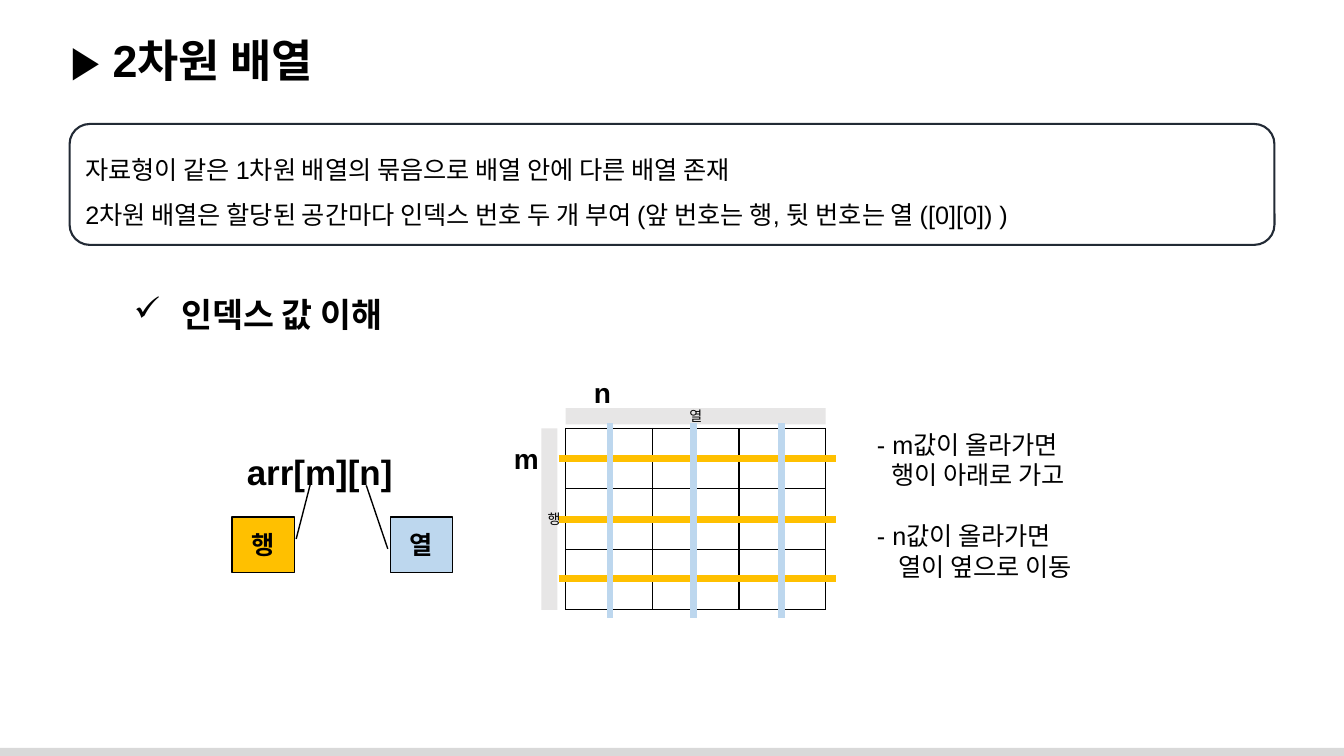
import pptx
import pptx.util
import pptx.dml.color
import pptx.enum.shapes
import pptx.enum.text
import pptx.oxml
import pptx.oxml.ns

Inches, Pt = pptx.util.Inches, pptx.util.Pt
SHAPE = pptx.enum.shapes.MSO_SHAPE
ALIGN = pptx.enum.text.PP_ALIGN
ANCHOR = pptx.enum.text.MSO_ANCHOR
COLORS = {"text": "000000", "frame": "222A35", "header": "E7E6E6",
          "row": "FFC000", "column": "BDD7EE", "footer": "D9D9D9"}
FONT = "Arial"


def rgb(name):
    """Return the named colour."""
    return pptx.dml.color.RGBColor.from_string(COLORS[name])


def xml(tag, attrs="", inner=""):
    """Parse one DrawingML element."""
    return pptx.oxml.parse_xml(
        f'<a:{tag} {pptx.oxml.ns.nsdecls("a")} {attrs}>{inner}</a:{tag}>')


def write(p, text, size=18, bold=False, align=None, spacing=None,
          before=None, indent=0, bullet=None):
    """Write formatted text into a paragraph; indent is in inches."""
    r = p.add_run()
    r.text = text
    r.font.name, r.font.size, r.font.bold = FONT, Pt(size), bold
    r.font.color.rgb = rgb("text")
    if align is not None:
        p.alignment = align
    if spacing:
        p.line_spacing = spacing
    if before:
        p.space_before = Pt(before)
    pPr = p._p.get_or_add_pPr()
    if indent:
        pPr.set("marL", str(Inches(indent)))
    if bullet:
        pPr.set("indent", str(-Inches(indent)))
        pPr.append(xml("buChar", f'char="{bullet}"'))


class Slide:
    """The current slide and its house style."""

    def __init__(self, prs):
        """Add a blank slide."""
        self.s = prs.slides.add_slide(prs.slide_layouts[6])

    def fill_text(self, tf, lines, **fmt):
        """Write (text, extra format) pairs, one paragraph each."""
        for i, (text, extra) in enumerate(lines):
            p = tf.add_paragraph() if i else tf.paragraphs[0]
            write(p, text, **{**fmt, **extra})

    def text(self, box, *lines, wrap=True, **fmt):
        """Add a text box that grows with its text."""
        tf = self.s.shapes.add_textbox(*map(Inches, box)).text_frame
        tf.word_wrap = wrap
        tf.auto_size = pptx.enum.text.MSO_AUTO_SIZE.SHAPE_TO_FIT_TEXT
        self.fill_text(tf, lines, **fmt)

    def shape(self, kind, box, *lines, fill=None, line=None, width=1,
              adjust=(), align=ALIGN.CENTER, **fmt):
        """Add a preset shape with optional text."""
        sp = self.s.shapes.add_shape(kind, *map(Inches, box))
        sp.shadow.inherit = False
        for i, value in enumerate(adjust):
            sp.adjustments[i] = value
        if fill:
            sp.fill.solid()
            sp.fill.fore_color.rgb = rgb(fill)
        else:
            sp.fill.background()
        if line:
            sp.line.color.rgb, sp.line.width = rgb(line), Pt(width)
        else:
            sp.line.fill.background()
        tf = sp.text_frame
        tf.word_wrap, tf.vertical_anchor = True, ANCHOR.MIDDLE
        self.fill_text(tf, lines, align=align, **fmt)

    def line(self, x1, y1, x2, y2, color, width=5):
        """Add a straight line."""
        c = self.s.shapes.add_connector(
            pptx.enum.shapes.MSO_CONNECTOR.STRAIGHT,
            *map(Inches, (x1, y1, x2, y2)))
        c.line.color.rgb, c.line.width = rgb(color), Pt(width)
        c._element.spPr.append(xml("effectLst"))

    def grid(self, box, rows, cols):
        """Add an empty table with thin borders on every cell."""
        table = self.s.shapes.add_table(rows, cols, *map(Inches, box)).table
        table.first_row = table.horz_banding = False
        ink = f'<a:solidFill><a:srgbClr val="{COLORS["text"]}"/></a:solidFill>'
        for cell in table.iter_cells():
            cell.fill.background()
            tcPr = cell._tc.get_or_add_tcPr()
            for i, side in enumerate(("lnL", "lnR", "lnT", "lnB")):
                tcPr.insert(i, xml(side, f'w="{Pt(1)}"', ink))


def build(prs):
    """Build the slide on two-dimensional arrays."""
    sl = Slide(prs)
    sl.shape(SHAPE.RECTANGLE, (-0.03, 7.42, 13.39, 0.11), fill="footer")
    sl.text((0.6, 0.28, 12.6, 0.64), ("▶ 2차원 배열", {}), size=32, bold=True)
    sl.shape(SHAPE.ROUNDED_RECTANGLE, (0.69, 1.23, 11.95, 1.2),
             ("자료형이 같은 1차원 배열의 묶음으로 배열 안에 다른 배열 존재", {}),
             ("2차원 배열은 할당된 공간마다 인덱스 번호 두 개 부여 "
              "(앞 번호는 행, 뒷 번호는 열 ([0][0]) )", {}),
             line="frame", width=1.5, align=ALIGN.LEFT, spacing=1.5)
    sl.text((1.23, 2.87, 2.96, 0.5), ("인덱스 값 이해", {}), wrap=False,
            size=24, bold=True, indent=0.47, bullet="✓")

    for box, name in (((4.91, 4.33, 0.62, 0.44), "m"),
                      ((5.7, 3.68, 0.55, 0.44), "n")):
        sl.text(box, (name, {}), size=20, bold=True, align=ALIGN.CENTER)
    sl.text((2.35, 4.21, 1.67, 0.65), ("arr[m][n]", {}),
            size=25, bold=True, spacing=1.5)

    left, top, width, height = 5.61, 4.25, 2.58, 1.8
    for box, name in (((left, 4.05, width, 0.16), "열"),
                      ((5.37, top, 0.16, height), "행")):
        sl.shape(SHAPE.RECTANGLE, box, (name, {}), fill="header", size=10)
    sl.text((8.53, 4.21, 2.5, 1.62),
            ("- m값이 올라가면", {"indent": 0.07}),
            ("행이 아래로 가고", {"indent": 0.21}),
            ("- n값이 올라가면", {"indent": 0.07, "before": 22}),
            ("열이 옆으로 이동", {"indent": 0.28}))
    sl.grid((left, top, width, height), 3, 3)
    for y in (4.55, 5.15, 5.74):
        sl.line(5.54, y, 8.29, y, "row")
    for x in (6.05, 6.88, 7.75):
        sl.line(x, 4.2, x, 6.13, "column")

    for x, name, fill, adjust in (
            (2.3, "행", "row", (0.395, 1.028, -0.623, 1.261)),
            (3.87, "열", "column", (0.573, -0.039, -0.572, -0.383))):
        sl.shape(SHAPE.LINE_CALLOUT_1, (x, 5.13, 0.62, 0.55), (name, {}),
                 fill=fill, line="text", adjust=adjust, bold=True)


prs = pptx.Presentation()
prs.slide_width, prs.slide_height = Inches(13.33), Inches(7.5)
build(prs)
prs.save("out.pptx")
